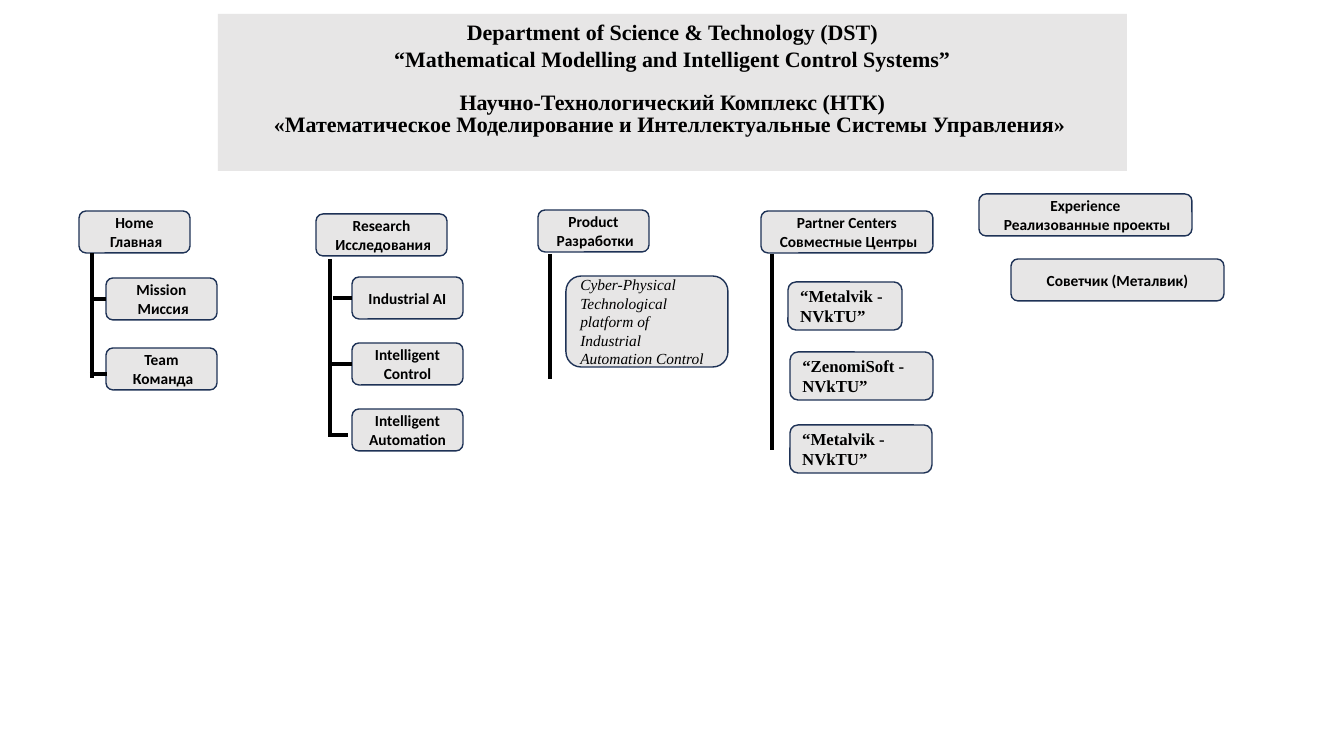
import pptx
import pptx.util
import pptx.dml.color
import pptx.enum.shapes
import pptx.enum.text
import pptx.oxml.ns
import lxml.etree

PX = 914400 / 100.8
COLORS = {"fill": "E7E6E6", "border": "1E3256", "ink": "000000"}
ALIGN = pptx.enum.text.PP_ALIGN
SHAPE = pptx.enum.shapes.MSO_SHAPE
ANCHOR = pptx.enum.text.MSO_ANCHOR

STYLES = {
    "title": ("Times New Roman", 15.7, True, False, ALIGN.CENTER),
    "label": ("Calibri", 11, True, False, ALIGN.CENTER),
    "center": ("Times New Roman", 12, True, False, ALIGN.LEFT),
    "platform": ("Times New Roman", 11, False, True, ALIGN.LEFT),
}
TITLE_BOX = (218, 14, 909, 157)
TITLE = [
    ("Department of Science & Technology (DST)", 1.0, 0),
    ("“Mathematical Modelling and Intelligent Control Systems”", 1.0, 0),
    ("Научно-Технологический Комплекс (НТК)", 0.8, 16),
    ("«Математическое Моделирование и Интеллектуальные Системы Управления» ", 0.8, 0),
]
MENU = [
    {
        "head": ("Home\n Главная", 79, 211, 111),
        "style": "label", "height": 42,
        "items": [("Mission\n Миссия", 106, 278, 111), ("Team\n Команда", 106, 348, 111)],
        "trunk": (92, 253, 378),
        "joined": [(92, 0)],
        "loose": [(90, 107, 374)],
    },
    {
        "head": ("Research\n Исследования", 316, 214, 131),
        "style": "label", "height": 42,
        "items": [
            (text, 352, 277 + 66 * row, 111)
            for row, text in enumerate(
                ["Industrial AI", "Intelligent Control", "Intelligent Automation"])
        ],
        "trunk": (330, 259, 437),
        "joined": [(333, 0), (331, 1)],
        "loose": [(331, 348, 435)],
    },
    {
        "head": ("Product\n Разработки", 538, 210, 111),
        "style": "platform", "height": 91,
        "items": [("Cyber-Physical Technological platform of Industrial Automation Control",
                   566, 276, 162)],
        "trunk": (550, 254, 379),
    },
    {
        "head": ("Partner Centers\n Совместные Центры", 761, 211, 172),
        "style": "center", "height": 48,
        "items": [
            ("“Metalvik - NVkTU”", 788, 282, 114),
            ("“ZenomiSoft - NVkTU”", 790, 352, 143),
            ("“Metalvik - NVkTU”", 790, 425, 142),
        ],
        "trunk": (772, 254, 450),
    },
    {
        "head": ("Experience\n Реализованные проекты", 979, 194, 213),
        "style": "label", "height": 42,
        "items": [("Советчик (Металвик)", 1011, 259, 213)],
    },
]


def px(value):
    return pptx.util.Emu(round(value * PX))


def color(name):
    return pptx.dml.color.RGBColor.from_string(COLORS[name])


def add_box(page, kind, text, place, style):
    box = page.shapes.add_shape(kind, *map(px, place))
    box.shadow.inherit = False
    box.fill.solid()
    box.fill.fore_color.rgb = color("fill")
    box.line.color.rgb = color("border")
    box.line.width = pptx.util.Pt(1)
    frame = box.text_frame
    frame.word_wrap = True
    frame.vertical_anchor = ANCHOR.MIDDLE
    frame.text = text
    font, size, bold, italic, align = STYLES[style]
    for para in frame.paragraphs:
        para.alignment = align
        for span in para.runs:
            span.font.name = font
            span.font.size = pptx.util.Pt(size)
            span.font.bold = bold
            span.font.italic = italic
            span.font.color.rgb = color("ink")
    return box


def add_line(page, left, top, right, bottom):
    line = page.shapes.add_connector(
        pptx.enum.shapes.MSO_CONNECTOR.STRAIGHT, px(left), px(top), px(right), px(bottom))
    line.line.color.rgb = color("ink")
    line.line.width = pptx.util.Pt(2.25)
    lxml.etree.SubElement(line._element.spPr, pptx.oxml.ns.qn("a:effectLst"))
    return line


def add_title(page):
    text = "\n".join(line for line, _, _ in TITLE)
    title = add_box(page, SHAPE.RECTANGLE, text, TITLE_BOX, "title")
    title.line.fill.background()
    title.text_frame.vertical_anchor = ANCHOR.TOP
    for para, (_, spacing, before) in zip(title.text_frame.paragraphs, TITLE):
        para.line_spacing = spacing
        para.space_before = pptx.util.Pt(before)


def add_column(page, column):
    text, left, top, width = column["head"]
    add_box(page, SHAPE.ROUNDED_RECTANGLE, text, (left, top, width, 42), "label")
    height = column["height"]
    boxes = [
        add_box(page, SHAPE.ROUNDED_RECTANGLE, text, (left, top, width, height), column["style"])
        for text, left, top, width in column["items"]
    ]
    if "trunk" in column:
        x, top, bottom = column["trunk"]
        add_line(page, x, top, x, bottom)
    for start, row in column.get("joined", []):
        _, left, top, _ = column["items"][row]
        middle = top + height / 2
        add_line(page, start, middle, left, middle).end_connect(boxes[row], 1)
    for start, end, y in column.get("loose", []):
        add_line(page, start, y, end, y)


def main():
    deck = pptx.Presentation()
    deck.slide_width = px(1344)
    deck.slide_height = px(756)
    page = deck.slides.add_slide(deck.slide_layouts[6])
    add_title(page)
    for column in MENU:
        add_column(page, column)
    deck.save("out.pptx")


if __name__ == "__main__":
    main()
